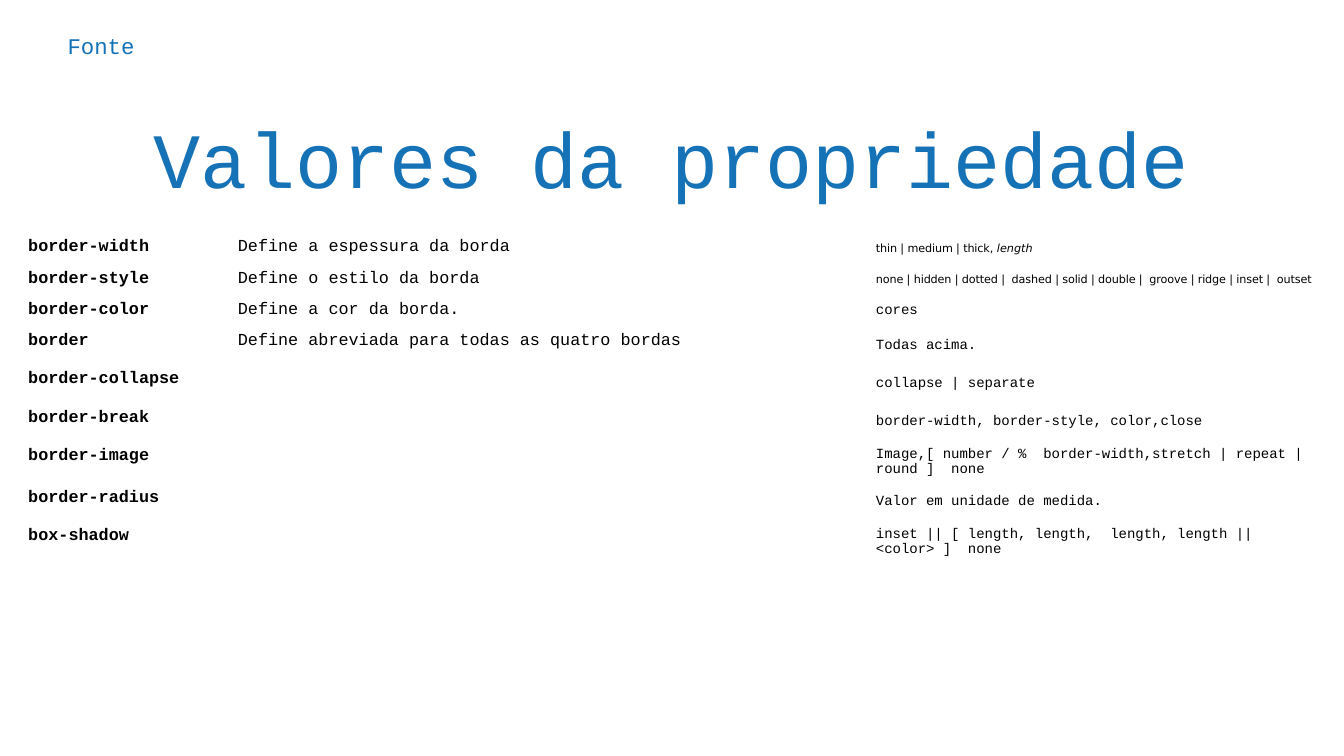
"""Build a slide listing the CSS border properties and their values."""
from pptx import Presentation
from pptx.dml.color import RGBColor
from pptx.enum.text import MSO_ANCHOR, MSO_AUTO_SIZE, PP_ALIGN
from pptx.util import Pt

TOP, MIDDLE = MSO_ANCHOR.TOP, MSO_ANCHOR.MIDDLE
LEFT, CENTER = PP_ALIGN.LEFT, PP_ALIGN.CENTER
NO_AUTOFIT = MSO_AUTO_SIZE.NONE
BLUE = RGBColor(0x15, 0x72, 0xB6)
BLACK = RGBColor(0, 0, 0)
MONO, SANS = "Courier New", "DejaVu Sans"

COLUMN_WIDTHS = [149.76, 452.88, 324.72]
ROW_HEIGHTS = [22.32] * 3 + [27.36] * 6
PROPERTIES = [
    ("border-width", "Define a espessura da borda", "thin | medium | thick, length"),
    ("border-style", "Define o estilo da borda",
     "none | hidden | dotted |  dashed | solid | double |  groove | ridge | inset |  outset"),
    ("border-color", "Define a cor da borda.", "cores"),
    ("border", "Define abreviada para todas as quatro bordas", "Todas acima."),
    ("border-collapse", "", "collapse | separate"),
    ("border-break", "", "border-width, border-style, color,close"),
    ("border-image", "",
     "Image,[ number / %  border-width,stretch | repeat | round ]  none"),
    ("border-radius", "", "Valor em unidade de medida."),
    ("box-shadow", "", "inset || [ length, length,  length, length || <color> ]  none"),
]
SANS_ROWS = 2
ITALIC_WORD = "length"


def style_font(para, name, size, color, bold=False):
    para.font.name = name
    para.font.size = Pt(size)
    para.font.color.rgb = color
    para.font.bold = bold


def fill_heading(box, text, size, align, left, top, width, height):
    box.left, box.top, box.width, box.height = Pt(left), Pt(top), Pt(width), Pt(height)
    frame = box.text_frame
    frame.word_wrap = True
    frame.auto_size = NO_AUTOFIT
    frame.vertical_anchor = TOP
    frame.margin_left = frame.margin_right = Pt(9.36)
    frame.margin_top = frame.margin_bottom = Pt(9.36)
    para = frame.paragraphs[0]
    para.alignment = align
    para.add_run().text = text
    style_font(para, MONO, size, BLUE)


deck = Presentation()
deck.slide_width, deck.slide_height = Pt(960), Pt(540)
page = deck.slides.add_slide(deck.slide_layouts[5])

fill_heading(page.shapes.title, "Valores da propriedade", 56, CENTER,
             68.4, 69.12, 822.96, 82.08)
source_box = page.shapes.add_textbox(0, 0, 0, 0)
fill_heading(source_box, "Fonte", 16, LEFT, 38.88, 13.68, 882, 40.32)

table = page.shapes.add_table(
    len(PROPERTIES), len(COLUMN_WIDTHS), Pt(16.56), Pt(166.32),
    Pt(sum(COLUMN_WIDTHS)), Pt(sum(ROW_HEIGHTS))).table
table.first_row = table.horz_banding = False
for column, width in zip(table.columns, COLUMN_WIDTHS):
    column.width = Pt(width)

for row_index, texts in enumerate(PROPERTIES):
    table.rows[row_index].height = Pt(ROW_HEIGHTS[row_index])
    for column_index, text in enumerate(texts):
        cell = table.cell(row_index, column_index)
        cell.fill.background()
        cell.margin_left = cell.margin_right = Pt(3.6)
        cell.margin_top = cell.margin_bottom = Pt(3.6)
        para = cell.text_frame.paragraphs[0]
        if column_index < 2:
            style_font(para, MONO, 12, BLACK, bold=column_index == 0)
            if text:
                para.add_run().text = text
            continue
        cell.vertical_anchor = MIDDLE
        para.space_before = Pt(2.6)
        para._p.get_or_add_pPr().set("marL", str(Pt(2.88)))
        if row_index >= SANS_ROWS:
            style_font(para, MONO, 10, BLACK)
            para.add_run().text = text
            continue
        style_font(para, SANS, 8, BLACK)
        plain = text.removesuffix(ITALIC_WORD)
        span = para.add_run()
        span.text = plain
        span._r.get_or_add_rPr().set("spc", "-10")
        if plain != text:
            span = para.add_run()
            span.text = ITALIC_WORD
            span.font.italic = True

deck.save("out.pptx")
